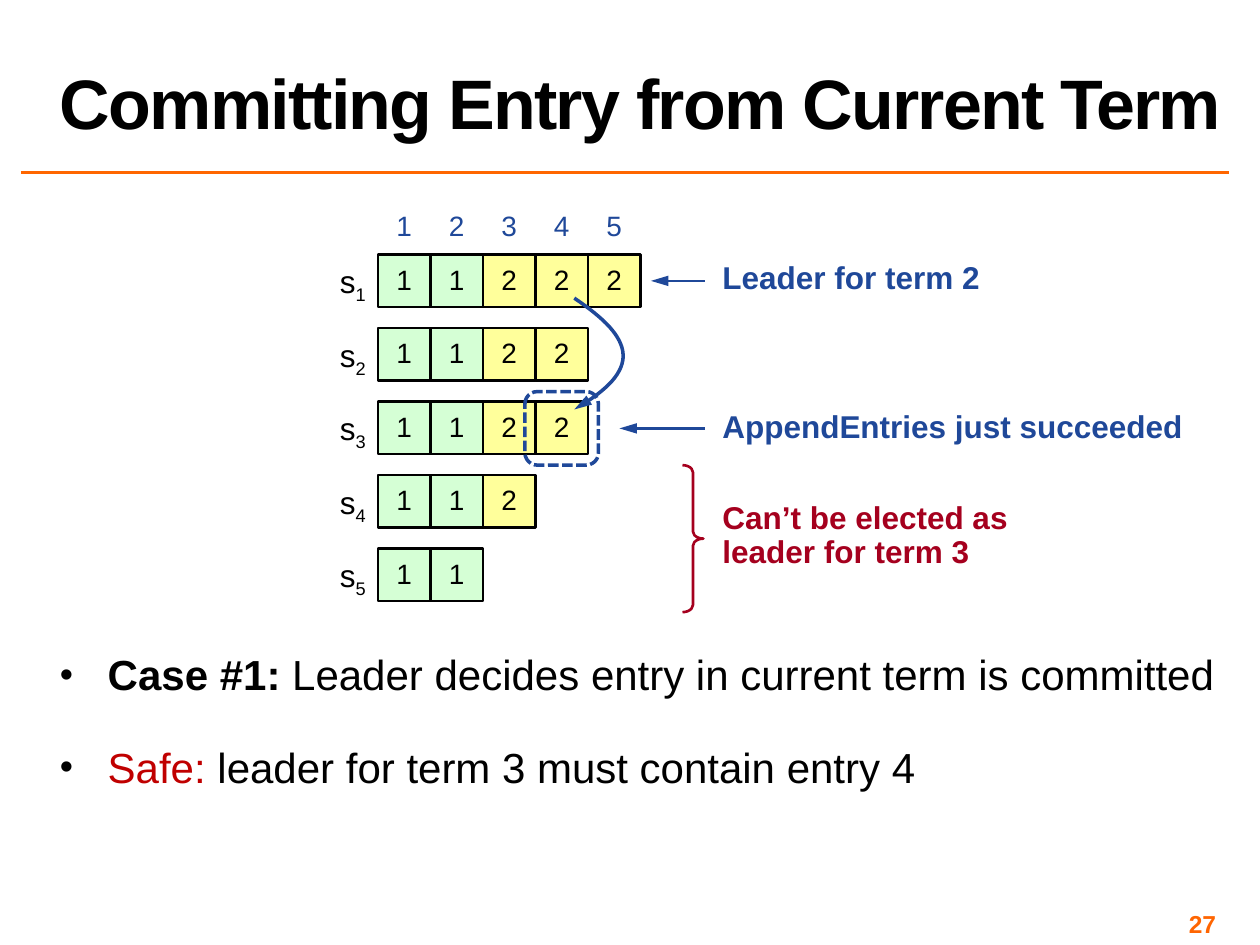
from lxml import etree
from pptx import Presentation, util as u
from pptx.dml.color import RGBColor
from pptx.enum import dml, shapes, text
from pptx.oxml.ns import qn

BLACK, BLUE, RED, ORANGE = "000000", "1F4899", "A5001E", "FF6600"
TERM_FILL = {1: "D5FFD5", 2: "FFFF9B"}
CENTER, RIGHT = text.PP_ALIGN.CENTER, text.PP_ALIGN.RIGHT
NO_INSETS = dict.fromkeys(
    ("margin_left", "margin_top", "margin_right", "margin_bottom"), 0)
GROW = {"auto_size": text.MSO_AUTO_SIZE.SHAPE_TO_FIT_TEXT}


def color(hex_value):
    return RGBColor.from_string(hex_value)


def grid(*units):
    """Lengths on a grid of 120 columns by 90 rows (12 units to the inch)."""
    return [u.Inches(n / 12) for n in units]


def assign(target, values):
    for name, value in values.items():
        setattr(target, name, value)


class Board:
    def __init__(self, prs):
        self.slide = prs.slides.add_slide(prs.slide_layouts[1])
        self.shapes = self.slide.shapes

    def add_runs(self, paragraph, runs, size, tint=BLACK, layout=None):
        """Each run is (text, font values, raw run attributes)."""
        assign(paragraph, layout or {})
        for words, font, raw in runs:
            for i, line in enumerate(words.split("\n")):
                if i:
                    paragraph.add_line_break()
                run = paragraph.add_run()
                run.text = line
                own = dict(font)
                run.font.color.rgb = color(own.pop("tint", tint))
                assign(run.font, {"name": "Arial", "size": u.Pt(size),
                                  "bold": False, **own})
                for name, value in raw.items():
                    run._r.get_or_add_rPr().set(name, value)

    def placeholder(self, index, box, frame):
        holder = self.slide.placeholders[index]
        assign(holder, dict(zip(("left", "top", "width", "height"), grid(*box))))
        assign(holder.text_frame, {"auto_size": text.MSO_AUTO_SIZE.NONE, **frame})
        return holder.text_frame

    def label(self, box, runs, size, tint=BLACK, layout=None, frame=None):
        area = self.shapes.add_textbox(*grid(*box)).text_frame
        assign(area, {"word_wrap": True, **(frame or {})})
        self.add_runs(area.paragraphs[0], runs, size, tint, layout)

    def stroke(self, item, tint, width, dash=None, arrow=False):
        item.line.color.rgb = color(tint)
        item.line.width = u.Pt(width)
        if dash:
            item.line.dash_style = dash
        if arrow:
            outline = item._element.spPr.find(qn("a:ln"))
            etree.SubElement(outline, qn("a:tailEnd"),
                             type="triangle", w="med", len="lg")

    def shape(self, kind, box, tint, width, fill=None, dash=None):
        item = self.shapes.add_shape(kind, *grid(*box))
        item.shadow.inherit = False
        if fill:
            item.fill.solid()
            item.fill.fore_color.rgb = color(fill)
        else:
            item.fill.background()
        self.stroke(item, tint, width, dash)
        return item

    def line(self, start, end, tint, width, arrow=False):
        item = self.shapes.add_connector(shapes.MSO_CONNECTOR.STRAIGHT,
                                         *grid(*start, *end))
        self.stroke(item, tint, width, arrow=arrow)
        etree.SubElement(item._element.spPr, qn("a:effectLst"))

    def curve(self, a, b, c, d, tint, width, steps=32):
        points = []
        for i in range(steps + 1):
            t = i / steps
            s = 1 - t
            points.append(tuple(grid(*(
                s**3 * p + 3 * s * s * t * q + 3 * s * t * t * r + t**3 * v
                for p, q, r, v in zip(a, b, c, d)))))
        outline = self.shapes.build_freeform(*points[0])
        outline.add_line_segments(points[1:], close=False)
        item = outline.convert_to_shape()
        item.shadow.inherit = False
        item.fill.background()
        self.stroke(item, tint, width, arrow=True)


prs = Presentation()
prs.slide_width, prs.slide_height = grid(120, 90)
board = Board(prs)

# Title and rule
title = board.placeholder(0, (4.5, 0.24, 115.5, 14),
                          {"vertical_anchor": text.MSO_ANCHOR.BOTTOM})
board.add_runs(title.paragraphs[0],
               [("Committing Entry from Current Term", {"bold": True},
                 {"spc": "-100"})],
               40, layout={"alignment": text.PP_ALIGN.LEFT, "line_spacing": 0.8})
board.line((2, 16.45), (117, 16.45), ORANGE, 2)

# Conclusions
body = board.placeholder(1, (4.5, 61.2, 115.5, 25.1), {})
conclusions = [
    (12, "Case #1: ", {"bold": True},
     "Leader decides entry in current term is committed"),
    (24, "Safe: ", {"tint": "C00000"}, "leader for term 3 must contain entry 4"),
]
for i, (before, lead, lead_font, claim) in enumerate(conclusions):
    point = body.add_paragraph() if i else body.paragraphs[0]
    board.add_runs(point, [(lead, lead_font, {}), (claim, {}, {})], 24,
                   layout={"space_before": u.Pt(before)})
    props = point._p.get_or_add_pPr()
    props.set("marL", str(u.Inches(0.38)))
    props.set("indent", str(-u.Inches(0.38)))
    bullet_color = etree.SubElement(props, qn("a:buClr"))
    etree.SubElement(bullet_color, qn("a:srgbClr"), val=BLACK)
    etree.SubElement(props, qn("a:buSzPct"), val="90000")
    etree.SubElement(props, qn("a:buFont"), typeface="Arial")
    etree.SubElement(props, qn("a:buChar"), char="•")

# Log indexes
for index in range(5):
    board.label((36 + 5 * index, 19.3, 5, 4.4), [(str(index + 1), {}, {})], 16,
                BLUE, {"alignment": CENTER}, GROW)

# Server logs: the term of each entry
logs = [(1, 1, 2, 2, 2), (1, 1, 2, 2), (1, 1, 2, 2), (1, 1, 2), (1, 1)]
for server, terms in enumerate(logs):
    board.label((31.1, 25 + 7 * server, 5, 3.6),
                [("s", {}, {}), (str(server + 1), {}, {"baseline": "-25000"})], 18,
                layout={"alignment": CENTER}, frame={**NO_INSETS, **GROW})
    for index, term in enumerate(terms):
        entry = board.shape(shapes.MSO_SHAPE.RECTANGLE,
                            (36 + 5 * index, 24.25 + 7 * server, 5, 5),
                            BLACK, 1.5, TERM_FILL[term])
        assign(entry.text_frame,
               {**NO_INSETS, "vertical_anchor": text.MSO_ANCHOR.MIDDLE})
        board.add_runs(entry.text_frame.paragraphs[0], [(str(term), {}, {})], 16,
                       layout={"alignment": CENTER, "line_spacing": u.Pt(17)})

# Remarks beside the logs
remarks = [
    (25, 33.2, 3.2, BLUE, "Leader for term 2"),
    (39.2, 50.3, 3.2, BLUE, "AppendEntries just succeeded"),
    (47.9, 33.2, 6.4, RED, "Can’t be elected as\nleader for term 3"),
]
for top, width, height, tint, words in remarks:
    board.label((68.8, top, width, height), [(words, {"bold": True}, {})], 18, tint,
                {"line_spacing": u.Pt(19)}, {**NO_INSETS, **GROW})

# Marks that tie remarks to entries
brace = board.shape(shapes.MSO_SHAPE.RIGHT_BRACE, (65, 44.3, 2, 14), RED, 1.5)
brace.adjustments[0], brace.adjustments[1] = 0.34, 0.5
board.shape(shapes.MSO_SHAPE.ROUNDED_RECTANGLE, (50, 37.3, 7, 7), BLUE, 2,
            dash=dml.MSO_LINE.SQUARE_DOT)
for tip, row in ((62, 26.75), (59, 40.8)):
    board.line((67.1, row), (tip, row), BLUE, 1.5, arrow=True)
board.curve((54.7, 28.4), (60.5, 32.3), (61.3, 35.2), (54.7, 39), BLUE, 2)

# Page number
board.label((89, 86, 28, 2.8), [("27", {"bold": True}, {})], 14, "FF6501",
            {"alignment": RIGHT})

prs.save("out.pptx")
